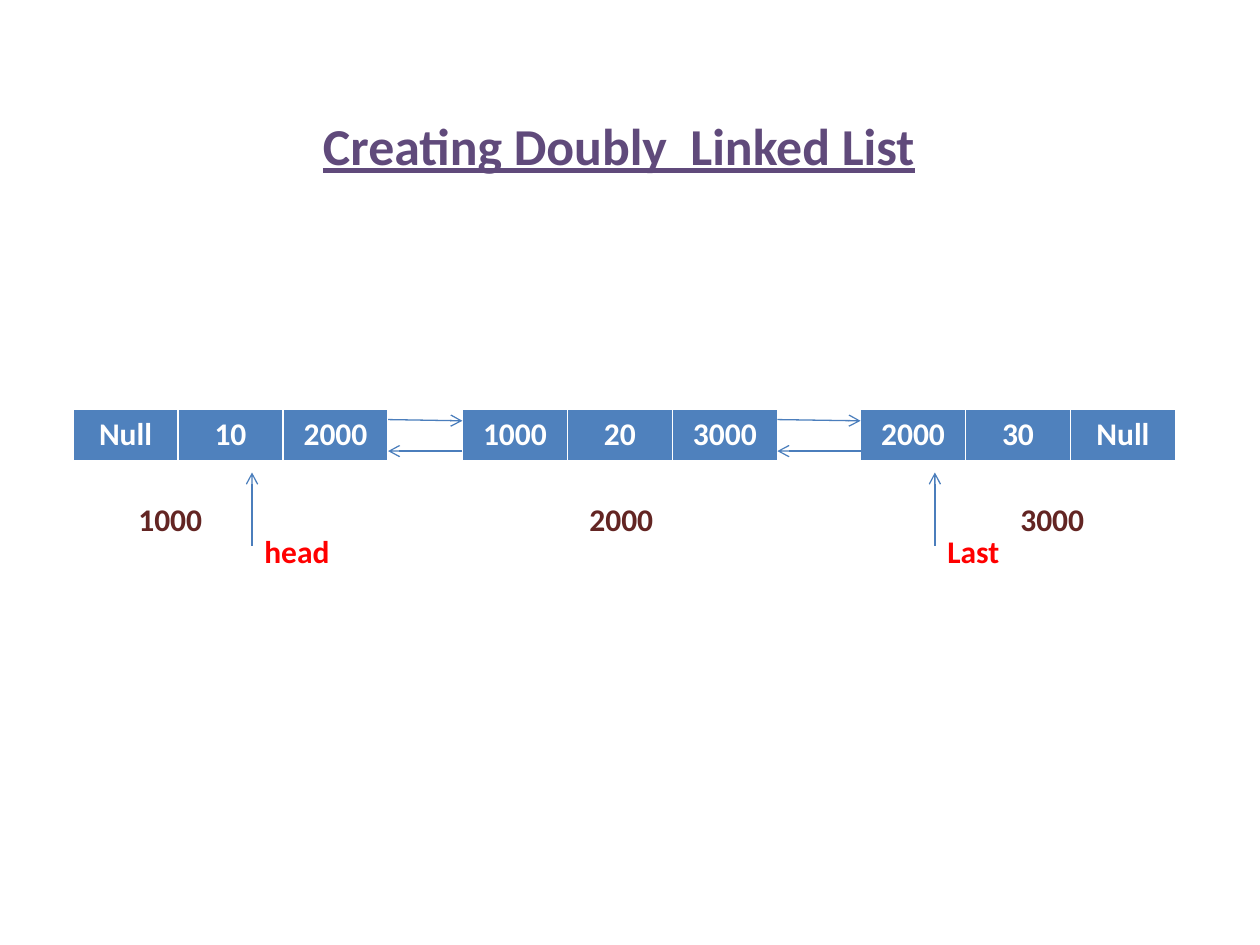
from lxml import etree
from pptx import Presentation
from pptx import util as u
from pptx.dml.color import RGBColor
from pptx.enum import shapes, text
from pptx.oxml import ns

COLORS = {
    "title": "604A7B",
    "cell": "4F81BD",
    "white": "FFFFFF",
    "arrow": "4B7EBC",
    "address": "632523",
    "pointer": "FF0000",
}
FONT = {"name": "Calibri", "bold": True, "size": u.Pt(18)}
TITLE_FONT = {**FONT, "size": u.Pt(29.6), "underline": True}


def write(tf, words, color, font=FONT, align=text.PP_ALIGN.LEFT):
    p = tf.paragraphs[0]
    p.alignment = align
    r = p.add_run()
    r.text = words
    for name, value in font.items():
        setattr(r.font, name, value)
    r.font.color.rgb = RGBColor.from_string(COLORS[color])


def add_arrow(s, x1, y1, x2, y2):
    points = [u.Inches(v) for v in (x1, y1, x2, y2)]
    line = s.shapes.add_connector(shapes.MSO_CONNECTOR.STRAIGHT, *points)
    line.line.width = u.Pt(0.75)
    line.line.color.rgb = RGBColor.from_string(COLORS["arrow"])
    ln = line.line._get_or_add_ln()
    etree.SubElement(ln, ns.qn("a:tailEnd"), type="arrow")
    etree.SubElement(line._element.spPr, ns.qn("a:effectLst"))


prs = Presentation()
prs.slide_width, prs.slide_height = u.Inches(10), u.Inches(7.5)
s = prs.slides.add_slide(prs.slide_layouts[6])

sp = s.shapes.add_textbox(u.Inches(0.25), u.Inches(0.85), u.Inches(9.33), u.Inches(0.6))
tf = sp.text_frame
tf.word_wrap = True
tf.vertical_anchor = text.MSO_ANCHOR.MIDDLE
write(tf, "Creating Doubly  Linked List", "title", TITLE_FONT, text.PP_ALIGN.CENTER)

nodes = [
    (0.58, ["Null", "10", "2000"]),
    (3.67, ["1000", "20", "3000"]),
    (6.83, ["2000", "30", "Null"]),
]
node_width, node_height = 2.5, 0.42
borders = {"a:lnL": 1, "a:lnR": 1, "a:lnT": 1, "a:lnB": 3}

for left, fields in nodes:
    table = s.shapes.add_table(
        1, 3, u.Inches(left), u.Inches(3.25), u.Inches(node_width), u.Inches(node_height)
    ).table
    for cell, field in zip(table.rows[0].cells, fields):
        write(cell.text_frame, field, "white", align=text.PP_ALIGN.CENTER)
        tcPr = cell._tc.get_or_add_tcPr()
        for tag, width in borders.items():
            ln = etree.SubElement(tcPr, ns.qn(tag), w=str(u.Pt(width)))
            fill = etree.SubElement(ln, ns.qn("a:solidFill"))
            etree.SubElement(fill, ns.qn("a:srgbClr"), val=COLORS["white"])
        cell.fill.solid()
        cell.fill.fore_color.rgb = RGBColor.from_string(COLORS["cell"])

for (left, _), (next_left, _) in zip(nodes, nodes[1:]):
    right = left + node_width
    add_arrow(s, right, 3.33, next_left, 3.34)
    add_arrow(s, next_left, 3.58, right, 3.58)

pointers = [(2, "head"), (7.42, "Last")]
for x, _ in pointers:
    add_arrow(s, x, 4.33, x, 3.75)

labels = [(x, 3.92, words, "address") for x, words in [(1, "1000"), (4.58, "2000"), (8, "3000")]]
labels += [(x, 4.17, words, "pointer") for x, words in pointers]
for x, y, words, color in labels:
    sp = s.shapes.add_textbox(u.Inches(x), u.Inches(y), u.Inches(0.83), u.Inches(0.4))
    sp.text_frame.word_wrap = True
    write(sp.text_frame, words, color)

prs.save("out.pptx")
